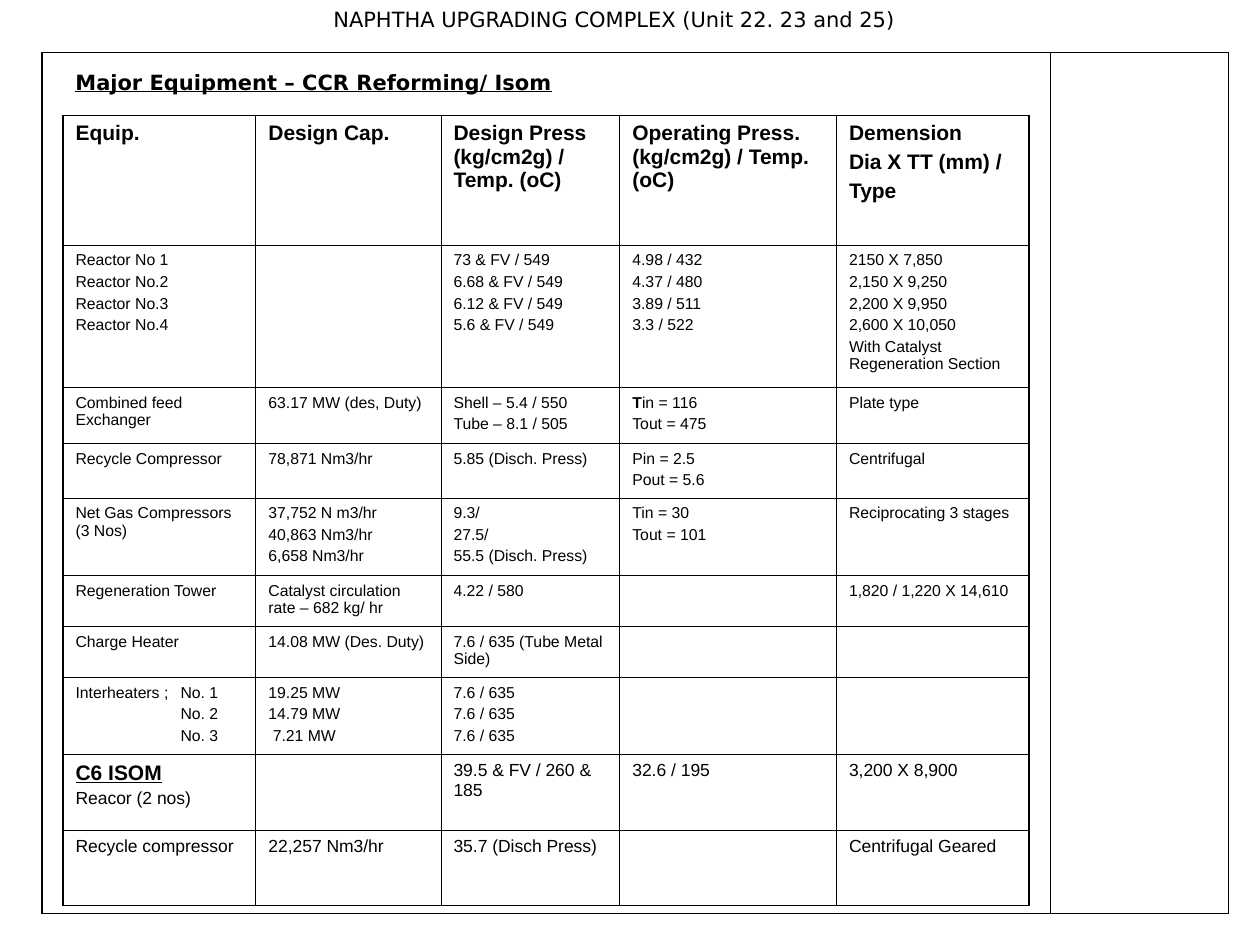
from lxml import etree
from pptx import Presentation
from pptx.dml.color import RGBColor
from pptx.enum.text import PP_ALIGN
from pptx.oxml.ns import qn
from pptx.util import Pt

LEFT, CENTER = PP_ALIGN.LEFT, PP_ALIGN.CENTER
COLORS = {"ink": "000000"}
TITLE_FONT, TABLE_FONT = "DejaVu Sans", "Arial"
OUTER_LINE, INNER_LINE = 1.08, 0.45
NUMBER_INDENT = 60

COLUMN_WIDTHS = [110.2, 105.8, 102.2, 123.8, 110.2]
ROW_HEIGHTS = [74.2, 81.4, 32, 31, 44.4, 29.2, 29.2, 44, 43.4, 42.8]
ROW_SIZES = [12] + [9] * 7 + [10] * 2
EQUIPMENT = [
    ["Equip.", "Design Cap.", "Design Press (kg/cm2g) / Temp. (oC)",
     "Operating Press. (kg/cm2g) / Temp. (oC)", "Demension\nDia X TT (mm) /\nType"],
    ["Reactor No 1\nReactor No.2\nReactor No.3\nReactor No.4", "",
     "73 & FV / 549\n6.68 & FV / 549\n6.12 & FV / 549\n5.6 & FV / 549",
     "4.98 / 432\n4.37 / 480\n3.89 / 511\n3.3 / 522",
     "2150 X 7,850\n2,150 X 9,250\n2,200 X 9,950\n2,600 X 10,050\n"
     "With Catalyst Regeneration Section"],
    ["Combined feed Exchanger", "63.17 MW (des, Duty)",
     "Shell – 5.4 / 550\nTube – 8.1 / 505",
     [("T", {"bold": True}), ("in = 116", {"same_line": True}), ("Tout = 475", {})],
     "Plate type"],
    ["Recycle Compressor", "78,871 Nm3/hr", "5.85 (Disch. Press)",
     "Pin = 2.5\nPout = 5.6", "Centrifugal"],
    ["Net Gas Compressors (3 Nos)", "37,752 N m3/hr\n40,863 Nm3/hr\n6,658 Nm3/hr",
     "9.3/\n27.5/\n55.5 (Disch. Press)", "Tin = 30\nTout = 101",
     "Reciprocating 3 stages"],
    ["Regeneration Tower", "Catalyst circulation rate – 682 kg/ hr", "4.22 / 580", "",
     "1,820 / 1,220 X 14,610"],
    ["Charge Heater", "14.08 MW (Des. Duty)", "7.6 / 635 (Tube Metal Side)", "", ""],
    [[("Interheaters ;\tNo. 1", {"tab": NUMBER_INDENT}),
      ("No. 2", {"indent": NUMBER_INDENT}), ("No. 3", {"indent": NUMBER_INDENT})],
     [("19.25 MW", {}), ("14.79 MW", {}), ("7.21 MW", {"indent": 2.5})],
     "7.6 / 635\n7.6 / 635\n7.6 / 635", "", ""],
    [[("C6 ISOM", {"size": 12, "bold": True, "underline": True}), ("Reacor (2 nos)", {})],
     "", "39.5 & FV / 260 & 185", "32.6 / 195", "3,200 X 8,900"],
    ["Recycle compressor", "22,257 Nm3/hr", "35.7 (Disch Press)", "",
     "Centrifugal Geared"],
]


def write_text(frame, text, size=9, font=TABLE_FONT, bold=False, underline=False,
               align=LEFT, indent=0, tab=None, same_line=False):
    """Add text as a new paragraph, or to the last one if same_line is set."""
    paragraph = frame.paragraphs[-1]
    if not same_line:
        if paragraph.runs:
            paragraph = frame.add_paragraph()
            paragraph.space_before = Pt(size / 4)
        paragraph.alignment = align
        properties = paragraph._p.get_or_add_pPr()
        if indent:
            properties.set("marL", str(Pt(indent)))
        if tab:
            tabs = etree.SubElement(properties, qn("a:tabLst"))
            etree.SubElement(tabs, qn("a:tab"), pos=str(Pt(tab)), algn="l")
    run = paragraph.add_run()
    run.text = text
    run.font.size = Pt(size)
    run.font.name = font
    run.font.bold = bold
    run.font.underline = underline
    run.font.color.rgb = RGBColor.from_string(COLORS["ink"])


def add_grid(left, top, widths, heights):
    """Add an unfilled table with a heavier outer border."""
    table = slide.shapes.add_table(len(heights), len(widths), Pt(left), Pt(top),
                                   Pt(sum(widths)), Pt(sum(heights))).table
    table.first_row = table.horz_banding = False
    for column, width in zip(table.columns, widths):
        column.width = Pt(width)
    for row_index, height in enumerate(heights):
        table.rows[row_index].height = Pt(height)
        for column_index in range(len(widths)):
            cell = table.cell(row_index, column_index)
            cell.margin_left = cell.margin_right = Pt(7.2)
            cell.margin_top = cell.margin_bottom = Pt(3.6)
            on_edge = {"L": column_index == 0, "R": column_index == len(widths) - 1,
                       "T": row_index == 0, "B": row_index == len(heights) - 1}
            for side, is_outer in on_edge.items():
                line = etree.SubElement(cell._tc.get_or_add_tcPr(), qn("a:ln" + side),
                                        w=str(Pt(OUTER_LINE if is_outer else INNER_LINE)))
                fill = etree.SubElement(line, qn("a:solidFill"))
                etree.SubElement(fill, qn("a:srgbClr"), val=COLORS["ink"])
            cell.fill.background()
    return table


presentation = Presentation()
presentation.slide_width, presentation.slide_height = Pt(720), Pt(540)
slide = presentation.slides.add_slide(presentation.slide_layouts[6])

add_grid(24, 30, [576, 102], [492])

equipment_table = add_grid(36, 66, COLUMN_WIDTHS, ROW_HEIGHTS)
for row_index, (row, size) in enumerate(zip(EQUIPMENT, ROW_SIZES)):
    for column_index, content in enumerate(row):
        if isinstance(content, str):
            content = [(line, {}) for line in content.split("\n")]
        frame = equipment_table.cell(row_index, column_index).text_frame
        for text, changes in content:
            write_text(frame, text, **{"size": size, "bold": row_index == 0, **changes})

HEADINGS = [
    ("NAPHTHA UPGRADING COMPLEX (Unit 22. 23 and 25)", 24, 0, 654, {"align": CENTER}),
    ("Major Equipment – CCR Reforming/ Isom", 36, 36, 312,
     {"bold": True, "underline": True}),
]
for text, left, top, width, text_format in HEADINGS:
    shape = slide.shapes.add_textbox(Pt(left), Pt(top), Pt(width), Pt(21.6))
    shape.text_frame.word_wrap = True
    write_text(shape.text_frame, text, size=12, font=TITLE_FONT, **text_format)

presentation.save("out.pptx")
